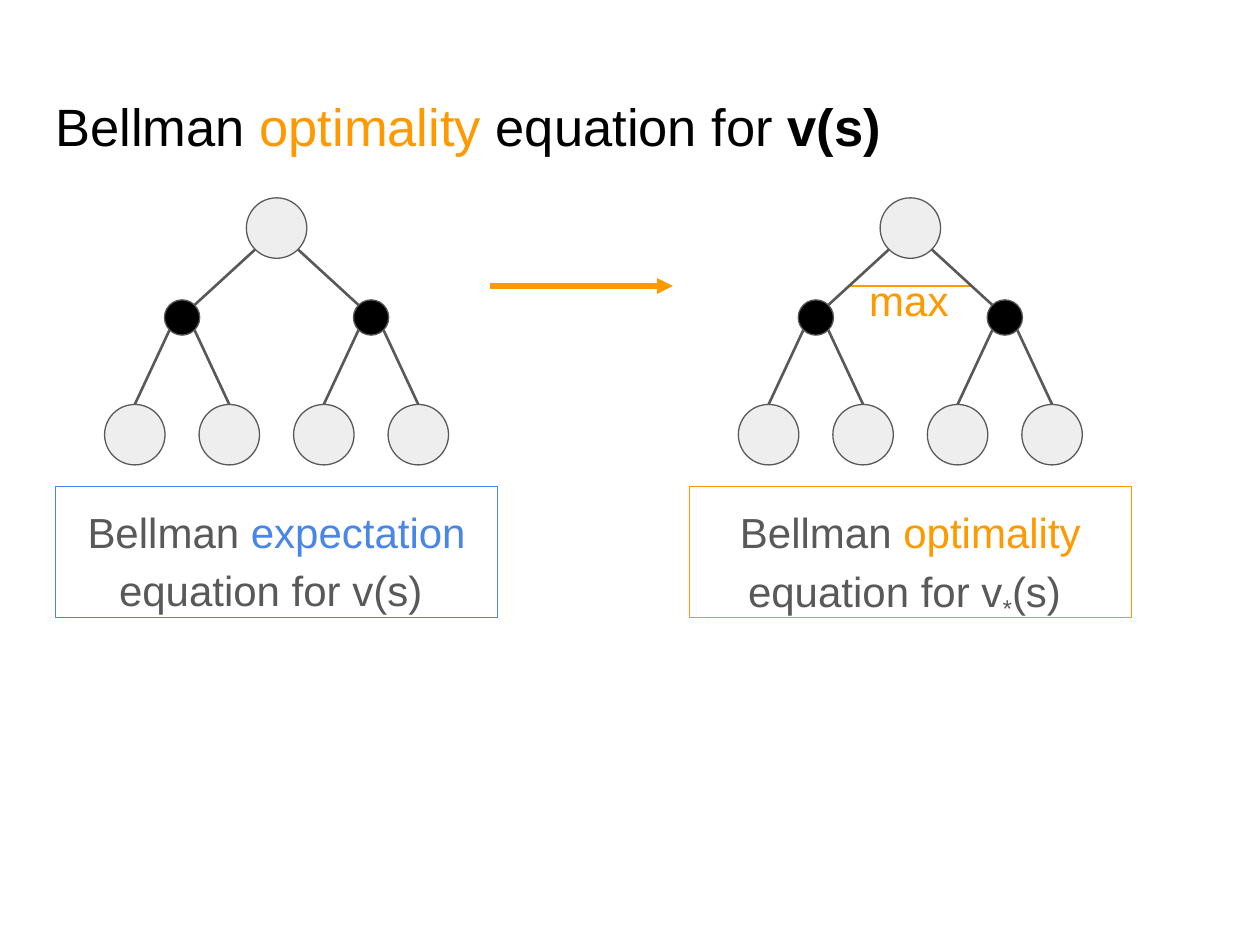
from math import sqrt

from lxml import etree
from pptx import Presentation
from pptx.dml.color import RGBColor
from pptx.enum import shapes, text
from pptx.oxml import ns
from pptx.util import Inches, Pt

ORANGE = "FF9900"
BLUE = "4A86E8"
GRAY = "595959"
LIGHT = "EEEEEE"
BLACK = "000000"


def color(value):
    return RGBColor.from_string(value)


def write(shape, runs, size, align=text.PP_ALIGN.LEFT, spacing=None, after=None):
    frame = shape.text_frame
    frame.word_wrap = True
    frame.vertical_anchor = text.MSO_ANCHOR.TOP
    frame.margin_left = frame.margin_right = Inches(0.1)
    frame.margin_top = frame.margin_bottom = Inches(0.1)
    paragraph = frame.paragraphs[0]
    paragraph.alignment = align
    if spacing:
        paragraph.line_spacing = spacing
    if after:
        paragraph.space_after = Pt(after)
    for content, fill, style in runs:
        run = paragraph.add_run()
        run.text = content
        run.font.name = "Arial"
        run.font.size = Pt(size)
        run.font.color.rgb = color(fill)
        if style == "bold":
            run.font.bold = True
        elif style == "subscript":
            run.font._element.set("baseline", "-25000")


def add_text(slide, left, top, width, height, runs, **style):
    box = slide.shapes.add_textbox(*map(Inches, (left, top, width, height)))
    write(box, runs, **style)


def add_outlined(slide, kind, left, top, width, height, line, fill=None):
    shape = slide.shapes.add_shape(kind, *map(Inches, (left, top, width, height)))
    shape.shadow.inherit = False
    if fill:
        shape.fill.solid()
        shape.fill.fore_color.rgb = color(fill)
    else:
        shape.fill.background()
    shape.line.color.rgb = color(line)
    shape.line.width = Pt(0.75)
    return shape


def add_line(slide, start, end, stroke, width, arrow=False):
    line = slide.shapes.add_connector(
        shapes.MSO_CONNECTOR.STRAIGHT, *map(Inches, (*start, *end)))
    line.line.color.rgb = color(stroke)
    line.line.width = Pt(width)
    if arrow:
        etree.SubElement(line.line._get_or_add_ln(), ns.qn("a:tailEnd"), type="triangle")
    etree.SubElement(line._element.spPr, ns.qn("a:effectLst"))


def add_node(slide, x, y, radius, fill):
    add_outlined(slide, shapes.MSO_SHAPE.OVAL, x - radius, y - radius,
                 2 * radius, 2 * radius, GRAY, fill)


def add_tree(slide, left, top, width):
    state, action = 0.24, 0.14
    state_edge, action_edge = state / sqrt(2), action / sqrt(2)
    center = left + width / 2
    root_y, action_y, leaf_y = top + 0.24, top + 0.95, top + 1.88
    add_node(slide, center, root_y, state, LIGHT)
    for side in (-1, 1):
        action_x = center + side * 0.75
        add_node(slide, action_x, action_y, action, BLACK)
        add_line(slide, (center + side * state_edge, root_y + state_edge),
                 (action_x - side * action_edge, action_y - action_edge), GRAY, 1.5)
        for branch in (-1, 1):
            leaf_x = action_x + branch * 0.75 / 2
            add_node(slide, leaf_x, leaf_y, state, LIGHT)
            add_line(slide, (action_x + branch * action_edge, action_y + action_edge),
                     (leaf_x, leaf_y - state), GRAY, 1.5)


def add_backup(slide, left, top, width, accent, runs):
    add_tree(slide, left, top, width)
    caption = add_outlined(slide, shapes.MSO_SHAPE.RECTANGLE, left, top + 2.29,
                           width, 1.04, accent)
    write(caption, runs, size=24, align=text.PP_ALIGN.CENTER, spacing=1.15, after=16)


def main():
    presentation = Presentation()
    presentation.slide_width = Inches(10)
    presentation.slide_height = Inches(7.5)
    slide = presentation.slides.add_slide(presentation.slide_layouts[6])

    add_line(slide, (6.73, 2.27), (7.71, 2.27), ORANGE, 1.5)
    add_text(slide, 0.34, 0.65, 9.32, 0.83, [
        ("Bellman ", BLACK, None), ("optimality", ORANGE, None),
        (" equation for ", BLACK, None), ("v(s)", BLACK, "bold")], size=30)
    add_backup(slide, 0.44, 1.57, 3.51, BLUE, [
        ("Bellman ", GRAY, None), ("expectation", BLUE, None),
        (" equation for v(s) ", GRAY, None)])
    add_backup(slide, 5.47, 1.57, 3.51, ORANGE, [
        ("Bellman ", GRAY, None), ("optimality", ORANGE, None),
        (" equation for v", GRAY, None), ("*", GRAY, "subscript"),
        ("(s) ", GRAY, None)])
    add_line(slide, (3.89, 2.27), (5.34, 2.27), ORANGE, 3, arrow=True)
    add_text(slide, 6.8, 2.08, 1.18, 0.5, [("max", ORANGE, None)], size=24)

    presentation.save("out.pptx")


if __name__ == "__main__":
    main()
